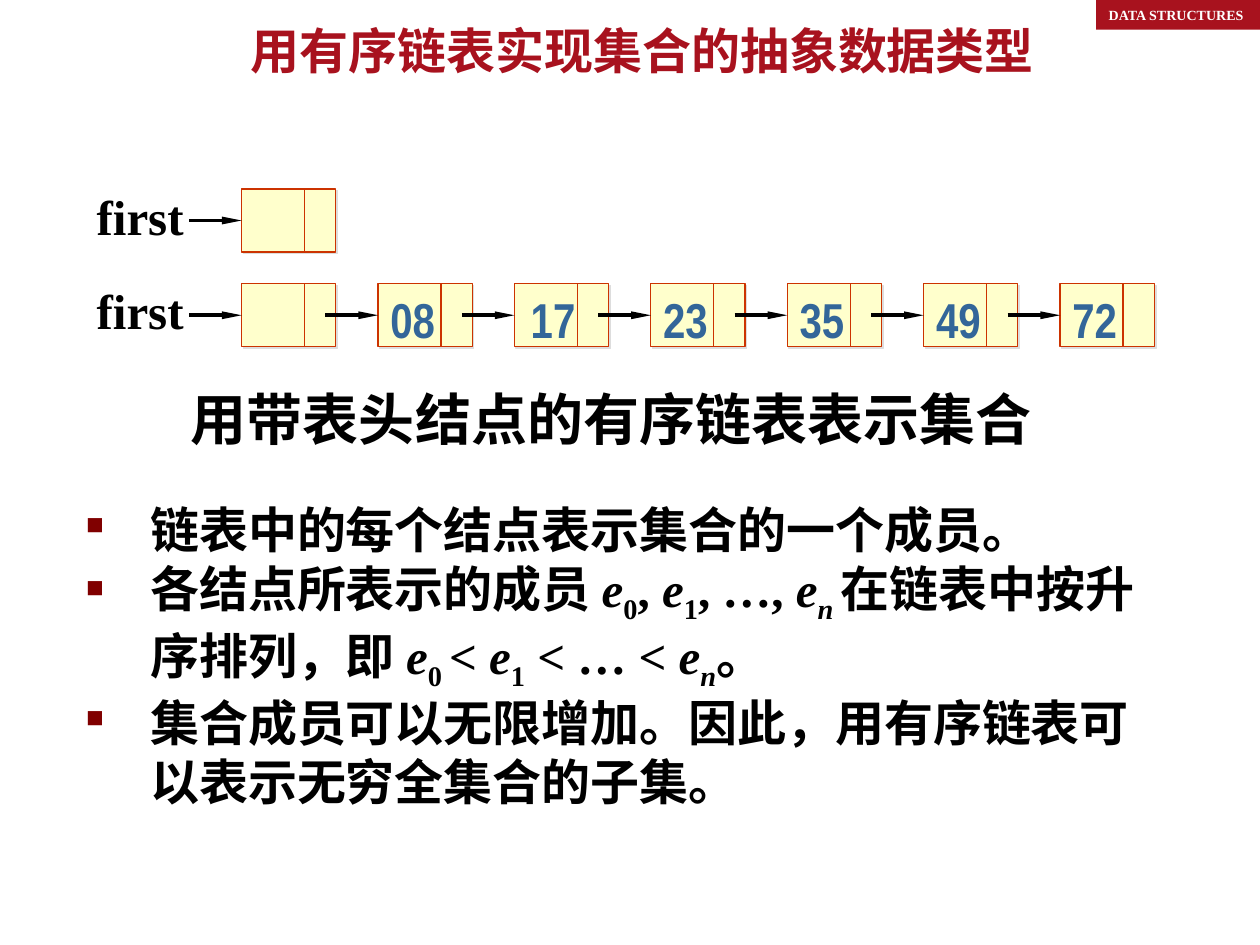
from dataclasses import dataclass

from lxml.etree import SubElement
from pptx import Presentation
from pptx.dml.color import RGBColor as Rgb
from pptx.enum.shapes import MSO_CONNECTOR as Link, MSO_SHAPE as Preset
from pptx.enum.text import MSO_ANCHOR as Anchor, PP_ALIGN as Align
from pptx.oxml.ns import qn
from pptx.util import Cm, Pt


@dataclass(frozen=True)
class Theme:
    serif: str = "Times New Roman"
    narrow: str = "Arial Narrow"
    red: str = "A8121E"
    white: str = "FFFFFF"
    ink: str = "000000"
    node: str = "FFFFCC"
    edge: str = "CC3300"
    value: str = "336699"
    bullet: str = "800000"
    shade: str = "DDDDDD"
    tag_size: float = 8
    body_size: float = 28
    caption_size: float = 32
    thin: float = 0.75
    thick: float = 2.25


THEME = Theme()
COURSE = "DATA STRUCTURES"
TITLE = "用有序链表实现集合的抽象数据类型"
CAPTION = "用带表头结点的有序链表表示集合"
HEAD_LABEL = "first"
LISTS = [
    [""],
    ["", "08", "17", "23", "35", "49", "72"],
]
VALUE_NUDGE = {"17": 0.08}
PLAIN, VAR, SUB, VAR_SUB = (False, 0), (True, 0), (False, -25), (True, -25)
POINTS = [
    [("链表中的每个结点表示集合的一个成员。", PLAIN)],
    [
        ("各结点所表示的成员 ", PLAIN),
        ("e", VAR), ("0", SUB), (", ", PLAIN),
        ("e", VAR), ("1", SUB), (", …, ", PLAIN),
        ("e", VAR), ("n ", VAR_SUB),
        ("在链表中按升序排列，即 ", PLAIN),
        ("e", VAR), ("0 ", SUB), ("< ", PLAIN),
        ("e", VAR), ("1", SUB), (" < … < ", PLAIN),
        ("e", VAR), ("n", VAR_SUB), ("。", PLAIN),
    ],
    [("集合成员可以无限增加。因此，用有序链表可以表示无穷全集合的子集。", PLAIN)],
]

NODE_LEFT, NODE_PITCH = 4.87, 2.75
NODE_WIDTH, NODE_HEIGHT, DATA_WIDTH = 1.9, 1.27, 1.27
ROW_TOP, ROW_PITCH = 3.81, 1.91
ARROW_LENGTH = 1.06


def add_run(paragraph, text, size, color, font=THEME.serif, style=PLAIN):
    italic, baseline = style
    run = paragraph.add_run()
    run.text = text
    run.font.name, run.font.size = font, Pt(size)
    run.font.bold, run.font.italic = True, italic
    run.font.color.rgb = Rgb.from_string(color)
    if baseline:
        run.font._element.set("baseline", str(baseline * 1000))


def add_box(slide, place, wrap=True):
    frame = slide.shapes.add_textbox(*map(Cm, place)).text_frame
    frame.word_wrap = wrap
    return frame


def add_rect(slide, place, fill, edge=None):
    rect = slide.shapes.add_shape(Preset.RECTANGLE, *map(Cm, place))
    rect.shadow.inherit = False
    rect.fill.solid()
    rect.fill.fore_color.rgb = Rgb.from_string(fill)
    if edge:
        rect.line.color.rgb = Rgb.from_string(edge)
        rect.line.width = Pt(THEME.thin)
    else:
        rect.line.fill.background()
    return rect


def add_line(slide, ends, color, width, arrow=False):
    line = slide.shapes.add_connector(Link.STRAIGHT, *map(Cm, ends))
    line.line.color.rgb = Rgb.from_string(color)
    line.line.width = Pt(width)
    if arrow:
        SubElement(line.line._get_or_add_ln(), qn("a:tailEnd"), type="triangle", w="sm", len="lg")
    SubElement(line._element.spPr, qn("a:effectLst"))


def add_node(slide, left, top, value):
    node = add_rect(slide, (left, top, NODE_WIDTH, NODE_HEIGHT), THEME.node, THEME.edge)
    effects = node._element.spPr.find(qn("a:effectLst"))
    shade = SubElement(effects, qn("a:outerShdw"), dist=str(Pt(1.4)), dir="2700000", algn="ctr", rotWithShape="0")
    SubElement(shade, qn("a:srgbClr"), val=THEME.shade)
    split, middle = left + DATA_WIDTH, top + NODE_HEIGHT / 2
    add_line(slide, (split, top, split, top + NODE_HEIGHT), THEME.edge, THEME.thin)
    add_line(slide, (left - ARROW_LENGTH, middle, left, middle), THEME.ink, THEME.thick, True)
    if value:
        place = (left + VALUE_NUDGE.get(value, 0), top, 1.4, 1.45)
        paragraph = add_box(slide, place, False).paragraphs[0]
        add_run(paragraph, value, THEME.body_size, THEME.value, THEME.narrow)


def add_lists(slide):
    for row, values in enumerate(LISTS):
        top = ROW_TOP + row * ROW_PITCH
        label = add_box(slide, (1.7, top - 0.18, 2.26, 1.45), False)
        add_run(label.paragraphs[0], HEAD_LABEL, THEME.body_size, THEME.ink)
        for column, value in enumerate(values):
            add_node(slide, NODE_LEFT + column * NODE_PITCH, top, value)


def add_points(slide):
    frame = add_box(slide, (1.48, 9.95, 22.23, 8.7))
    for index, point in enumerate(POINTS):
        paragraph = frame.add_paragraph() if index else frame.paragraphs[0]
        layout = paragraph._p.get_or_add_pPr()
        layout.set("marL", str(Cm(1.3)))
        layout.set("indent", str(-Cm(1.3)))
        SubElement(SubElement(layout, qn("a:buClr")), qn("a:srgbClr"), val=THEME.bullet)
        SubElement(layout, qn("a:buSzPct"), val="50000")
        SubElement(layout, qn("a:buChar"), char="■")
        for text, style in point:
            add_run(paragraph, text, THEME.body_size, THEME.ink, style=style)


def add_title(slide):
    frame = add_box(slide, (0.5, 0.79, 24.9, 2.13))
    frame.vertical_anchor = Anchor.BOTTOM
    paragraph = frame.paragraphs[0]
    paragraph.alignment = Align.CENTER
    add_run(paragraph, TITLE, THEME.body_size, THEME.red)
    paragraph.add_line_break()
    size = str(THEME.body_size * 100)
    SubElement(paragraph._p.find(qn("a:br")), qn("a:rPr"), sz=size)
    ending = SubElement(paragraph._p, qn("a:endParaRPr"), sz=size)
    SubElement(ending, qn("a:latin"), typeface=THEME.serif)


def main():
    """Build the slide on sets kept as ordered linked lists."""
    deck = Presentation()
    deck.slide_width, deck.slide_height = Cm(25.4), Cm(19.05)
    slide = deck.slides.add_slide(deck.slide_layouts[6])
    tag = add_rect(slide, (22.1, 0, 3.38, 0.6), THEME.red).text_frame
    tag.vertical_anchor = Anchor.TOP
    tag.paragraphs[0].alignment = Align.LEFT
    add_run(tag.paragraphs[0], COURSE, THEME.tag_size, THEME.white)
    caption = add_box(slide, (3.6, 7.62, 19.9, 1.63))
    add_run(caption.paragraphs[0], CAPTION, THEME.caption_size, THEME.ink)
    add_lists(slide)
    add_points(slide)
    add_title(slide)
    deck.save("out.pptx")


if __name__ == "__main__":
    main()
